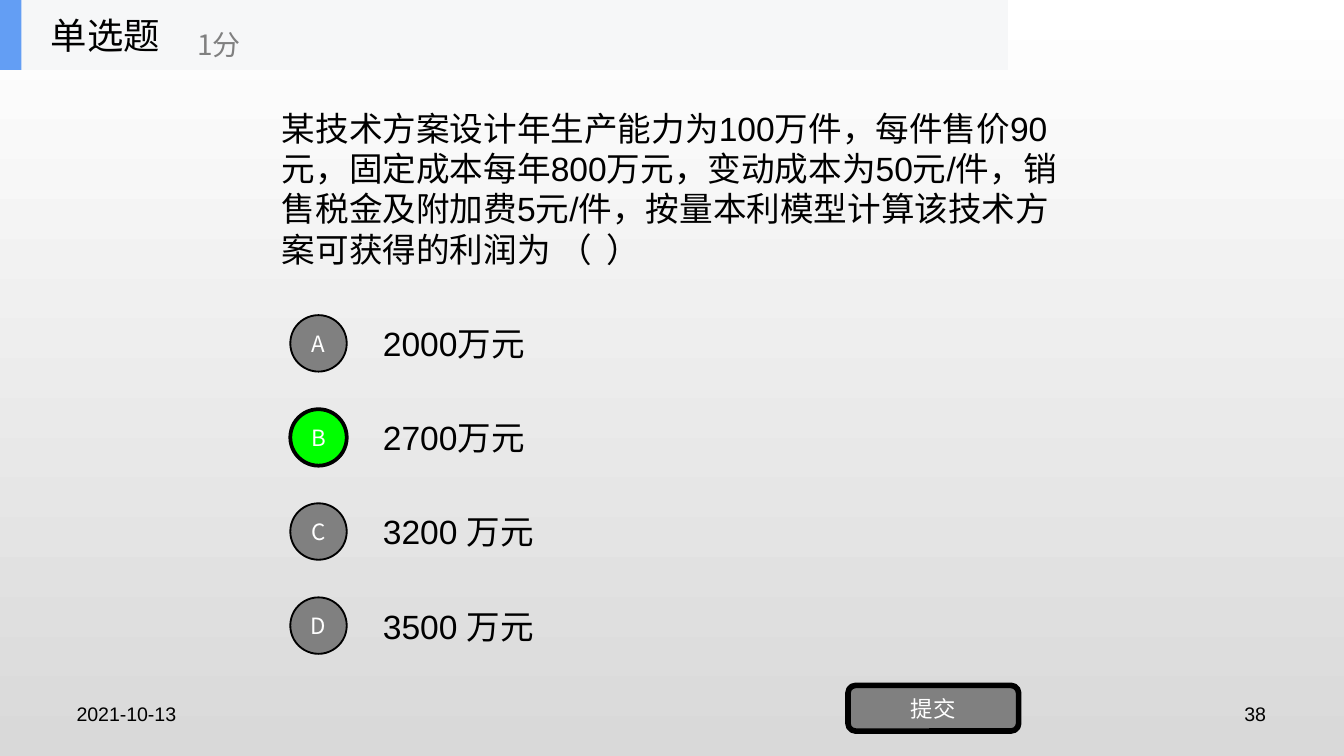
from lxml import etree
from pptx import Presentation
from pptx.dml.color import RGBColor
from pptx.enum.shapes import MSO_SHAPE
from pptx.enum.text import MSO_ANCHOR, PP_ALIGN
from pptx.oxml.ns import qn
from pptx.util import Inches, Pt

LEFT, CENTER, RIGHT = PP_ALIGN.LEFT, PP_ALIGN.CENTER, PP_ALIGN.RIGHT
TOP, MIDDLE = MSO_ANCHOR.TOP, MSO_ANCHOR.MIDDLE
RECTANGLE, OVAL = MSO_SHAPE.RECTANGLE, MSO_SHAPE.OVAL
ROUNDED = MSO_SHAPE.ROUNDED_RECTANGLE

BLACK = RGBColor(0x00, 0x00, 0x00)
WHITE = RGBColor(0xFF, 0xFF, 0xFF)
GRAY = RGBColor(0x80, 0x80, 0x80)
LIGHT_GRAY = RGBColor(0xD9, 0xD9, 0xD9)
GREEN = RGBColor(0x00, 0xFF, 0x00)
BLUE = RGBColor(0x63, 0x9E, 0xF4)
HEADER_FILL = RGBColor(0xF6, 0xF7, 0xF8)
LATIN_FONT, CHINESE_FONT = "Arial", "Noto Sans CJK SC"

# Content
QUESTION = (
    "某技术方案设计年生产能力为100万件，每件售价90元，固定成本每年800万元，"
    "变动成本为50元/件，销售税金及附加费5元/件，"
    "按量本利模型计算该技术方案可获得的利润为 （  ）"
)
OPTIONS = [("A", "2000万元"), ("B", "2700万元"), ("C", "3200 万元"), ("D", "3500 万元")]
CORRECT = "B"
FOOTERS = [("2021-10-13", 0.5, LEFT), ("38", 7.28, RIGHT)]

# Text formats
BODY = {"size": Pt(18), "name": LATIN_FONT, "color": BLACK}
FOOTER = {**BODY, "size": Pt(10.5)}
BUTTON = {"size": Pt(12), "name": CHINESE_FONT, "color": WHITE}
TITLE = {"size": Pt(19.5), "name": CHINESE_FONT, "color": BLACK}
SCORE = {"size": Pt(15), "name": CHINESE_FONT, "color": GRAY}

# Slide size (16:9) and option grid
SLIDE_WIDTH = 10
SLIDE_HEIGHT = SLIDE_WIDTH * 9 / 16
OPTION_TOP, OPTION_STEP, OPTION_HEIGHT, CIRCLE_SIZE = 2.29, 0.7, 0.53, 0.42


def write_text(shape, text, text_format, align=LEFT, anchor=MIDDLE, margins=(0.1, 0.05)):
    frame = shape.text_frame
    horizontal, vertical = (Inches(margin) for margin in margins)
    frame_format = {
        "word_wrap": True, "vertical_anchor": anchor,
        "margin_left": horizontal, "margin_right": horizontal,
        "margin_top": vertical, "margin_bottom": vertical,
    }
    for name, value in frame_format.items():
        setattr(frame, name, value)
    paragraph = frame.paragraphs[0]
    paragraph.alignment = align
    run = paragraph.add_run()
    run.text = text
    for name, value in text_format.items():
        if name == "color":
            run.font.color.rgb = value
        else:
            setattr(run.font, name, value)
    east_asian = etree.SubElement(run.font._element, qn("a:ea"))
    east_asian.set("typeface", CHINESE_FONT)


def add_text(slide, box, text, text_format, **layout):
    shape = slide.shapes.add_textbox(*map(Inches, box))
    write_text(shape, text, text_format, **layout)


def add_block(slide, kind, box, fill, line_width=0, text=None):
    shape = slide.shapes.add_shape(kind, *map(Inches, box))
    shape.shadow.inherit = False
    shape.fill.solid()
    shape.fill.fore_color.rgb = fill
    if line_width:
        shape.line.color.rgb = BLACK
        shape.line.width = Pt(line_width)
    else:
        shape.line.fill.background()
    if text:
        write_text(shape, text, BUTTON, align=CENTER, margins=(0, 0))


def main():
    presentation = Presentation()
    presentation.slide_width = Inches(SLIDE_WIDTH)
    presentation.slide_height = Inches(SLIDE_HEIGHT)
    slide = presentation.slides.add_slide(presentation.slide_layouts[6])

    # Background gradient, running downwards
    background = slide.background.fill
    background.gradient()
    background.gradient_angle = 270
    for stop, position, color in zip(background.gradient_stops, (0, 1), (WHITE, LIGHT_GRAY)):
        stop.position = position
        stop.color.rgb = color

    # Date and slide number
    for text, left, align in FOOTERS:
        add_text(slide, (left, 5.18, 2.21, 0.26), text, FOOTER,
                 align=align, anchor=TOP, margins=(0.07, 0.04))

    # Question and answer options
    add_text(slide, (2, 0.52, 6, 1.76), QUESTION, BODY)
    for index, (letter, answer) in enumerate(OPTIONS):
        top = OPTION_TOP + index * OPTION_STEP
        circle_top = top + (OPTION_HEIGHT - CIRCLE_SIZE) / 2
        fill, line_width = (GREEN, 2) if letter == CORRECT else (GRAY, 1)
        add_text(slide, (2.75, top, 5.25, OPTION_HEIGHT), answer, BODY)
        add_block(slide, OVAL, (2.16, circle_top, CIRCLE_SIZE, CIRCLE_SIZE),
                  fill, line_width, letter)

    # Submit button
    add_block(slide, ROUNDED, (6.31, 5.1, 1.27, 0.34), GRAY, 3, "提交")

    # Header bar
    add_block(slide, RECTANGLE, (0, 0, 7.5, 0.52), HEADER_FILL)
    add_block(slide, RECTANGLE, (0, 0, 0.16, 0.52), BLUE)
    add_text(slide, (0.28, 0, 1.56, 0.52), "单选题", TITLE)
    add_text(slide, (1.37, 0.12, 1.88, 0.42), "1分", SCORE)

    presentation.save("out.pptx")


if __name__ == "__main__":
    main()
